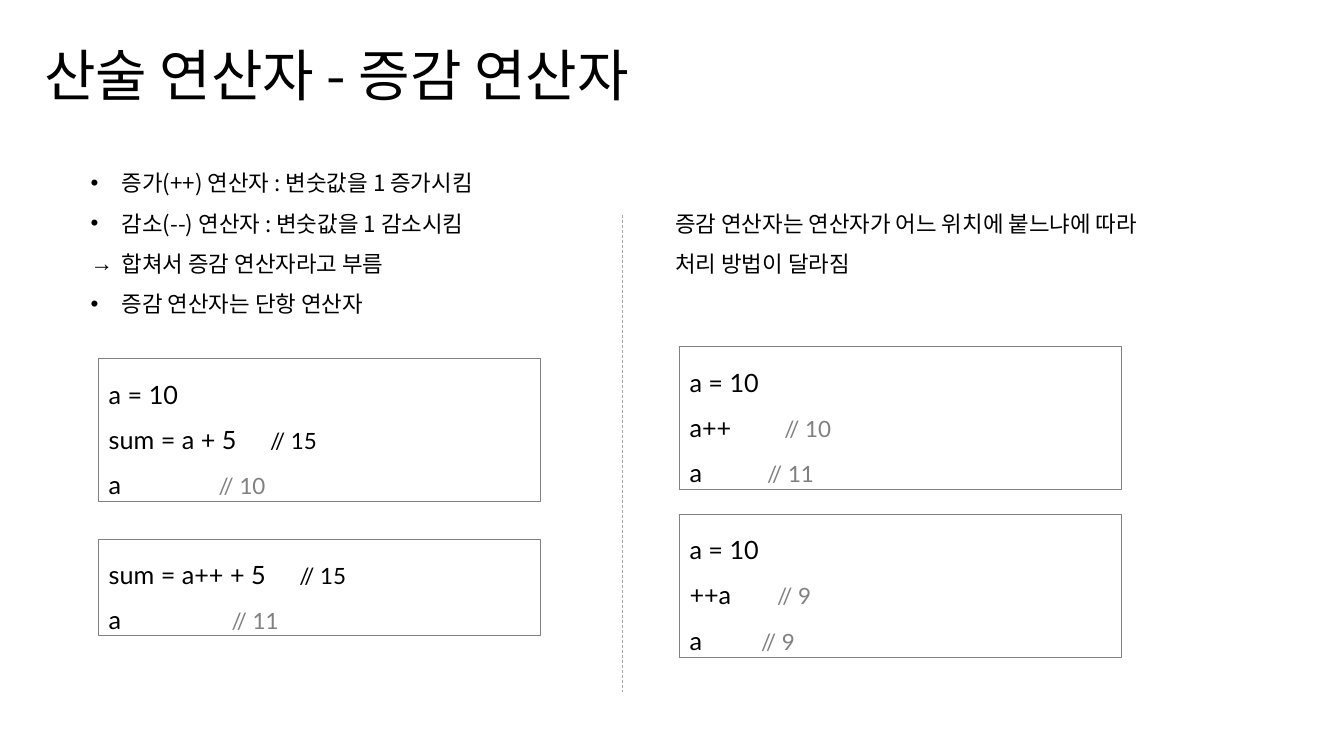
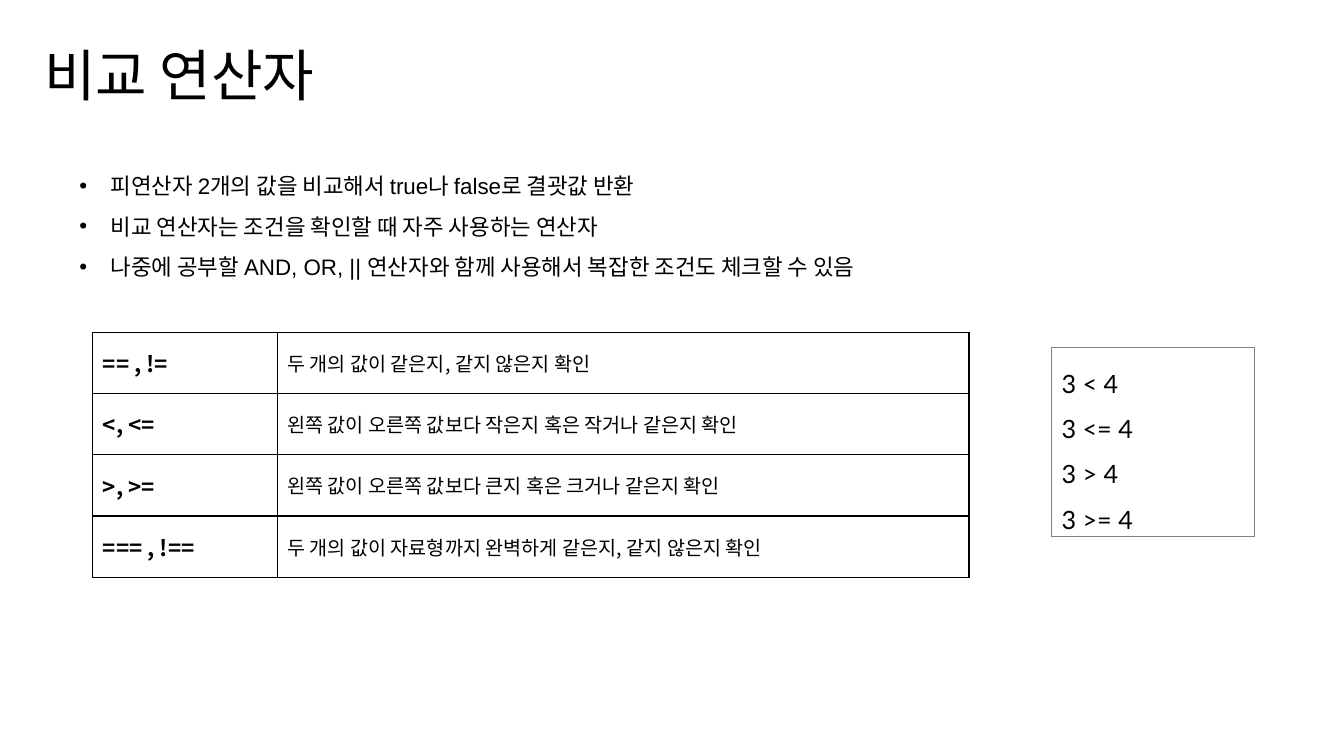
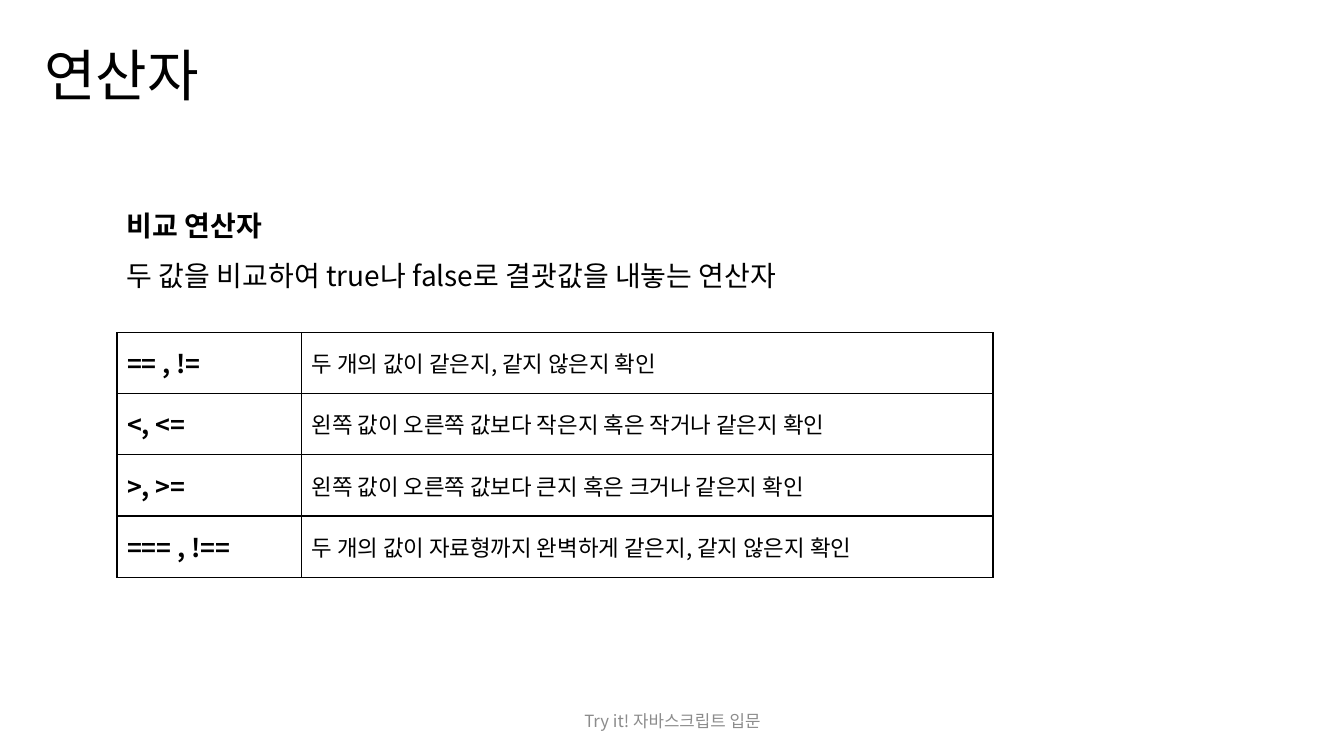
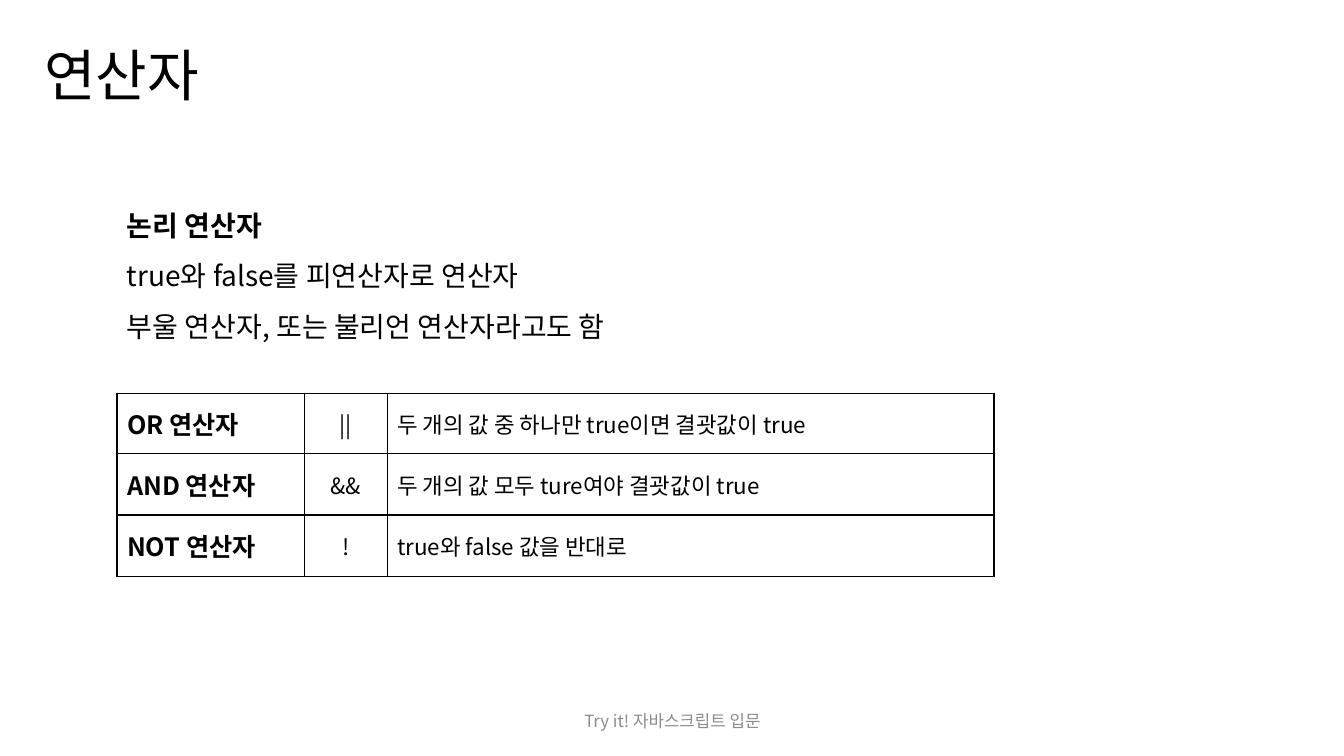
from dataclasses import dataclass

from lxml import etree
from pptx import Presentation, util as u
from pptx.dml.color import RGBColor
from pptx.enum import dml, shapes, text
from pptx.oxml import ns


@dataclass(frozen=True)
class Theme:
    ink: str = "000000"
    gray: str = "808080"
    rule: str = "A6A6A6"
    foot: str = "8C8C8C"
    sans: str = "Noto Sans CJK KR"
    code: str = "Lato"
    alt: str = "Arial"
    head: int = 40
    lead: int = 20
    big: int = 18
    body: int = 16
    cell: int = 14
    small: int = 12
    gap: float = 1.5


T = Theme()
FOOT = "Try it! 자바스크립트 입문"
COMPARE = [
    ("== , !=", "두 개의 값이 같은지, 같지 않은지 확인"),
    ("<, <=", "왼쪽 값이 오른쪽 값보다 작은지 혹은 작거나 같은지 확인"),
    (">, >=", "왼쪽 값이 오른쪽 값보다 큰지 혹은 크거나 같은지 확인"),
    ("=== , !==", "두 개의 값이 자료형까지 완벽하게 같은지, 같지 않은지 확인"),
]
LOGIC = [
    ("OR 연산자", "||", "두 개의 값 중 하나만 true이면 결괏값이 true"),
    ("AND 연산자", "&&", "두 개의 값 모두 ture여야 결괏값이 true"),
    ("NOT 연산자", "!", "true와 false 값을 반대로"),
]


def rgb(tone):
    return RGBColor.from_string(tone)


def inches(box):
    return [u.Inches(v) for v in box]


def sub(node, tag, **attrs):
    return etree.SubElement(node, ns.qn(tag), attrs)


def add_run(para, words, size, font=T.sans, tone=T.ink, bold=False):
    run = para.add_run()
    run.text = words
    face = run.font
    face.size, face.bold, face.name = u.Pt(size), bold, font
    face.color.rgb = rgb(tone)
    sub(run._r.get_or_add_rPr(), "a:ea", typeface=T.sans)


def add_paras(frame, count):
    """Yield the given number of widely spaced paragraphs."""
    for i in range(count):
        para = frame.add_paragraph() if i else frame.paragraphs[0]
        para.line_spacing = T.gap
        yield para


def add_mark(para, mark):
    """Hang a bullet sign in front of the paragraph."""
    props = para._p.get_or_add_pPr()
    hang = u.Inches(0.31)
    props.set("marL", str(hang))
    props.set("indent", str(-hang))
    sub(props, "a:buFont", typeface=T.alt)
    sub(props, "a:buChar", char=mark)


def add_stop(para, at):
    stops = sub(para._p.get_or_add_pPr(), "a:tabLst")
    sub(stops, "a:tab", pos=str(u.Inches(at)), algn="l")


def add_box(slide, box):
    frame = slide.shapes.add_textbox(*inches(box)).text_frame
    frame.word_wrap = True
    return frame


def add_notes(slide, box, lines, marks="", font=T.sans):
    """Body lines, each with its sign from marks if there is one."""
    frame = add_box(slide, box)
    for i, para in enumerate(add_paras(frame, len(lines))):
        if marks:
            add_mark(para, marks[i])
        add_run(para, lines[i], T.body, font)


def add_lead(slide, box, lines):
    """A bold heading line with plain lines below it."""
    frame = add_box(slide, box)
    for i, para in enumerate(add_paras(frame, len(lines))):
        add_run(para, lines[i], T.lead, bold=i == 0)


def add_code(slide, box, lines):
    """Framed code; a line is (code,) or (code, note, tab stop, colour)."""
    shape = slide.shapes.add_shape(shapes.MSO_SHAPE.RECTANGLE, *inches(box))
    shape.shadow.inherit = False
    shape.fill.background()
    shape.line.color.rgb = rgb(T.gray)
    shape.line.width = u.Pt(0.75)
    frame = shape.text_frame
    frame.word_wrap = True
    frame.auto_size = text.MSO_AUTO_SIZE.SHAPE_TO_FIT_TEXT
    frame.vertical_anchor = text.MSO_ANCHOR.TOP
    for para, (code, *note) in zip(add_paras(frame, len(lines)), lines):
        para.alignment = text.PP_ALIGN.LEFT
        if note:
            words, stop, tone = note
            add_stop(para, stop)
            add_run(para, code + "\t", T.big, T.code)
            add_run(para, words, T.body, T.code, tone)
        else:
            add_run(para, code, T.big, T.code)


def add_rule(slide, x, top, end):
    line = slide.shapes.add_connector(
        shapes.MSO_CONNECTOR.STRAIGHT, *inches((x, top, x, end)))
    line.line.color.rgb = rgb(T.rule)
    line.line.width = u.Pt(0.5)
    line.line.dash_style = dml.MSO_LINE.DASH
    sub(line._element.spPr, "a:effectLst")


def edge_cell(cell):
    props = cell._tc.get_or_add_tcPr()
    for side in "LRTB":
        line = sub(props, f"a:ln{side}", w=str(u.Pt(1)))
        sub(sub(line, "a:solidFill"), "a:srgbClr", val=T.ink)
    cell.fill.background()


def add_grid(slide, left, top, cols, rows, size):
    """Ruled table: bold first column, centred middle, smaller text after."""
    highs = [0.6] + [0.61] * (len(rows) - 1)
    box = left, top, sum(cols), sum(highs)
    grid = slide.shapes.add_table(len(rows), len(cols), *inches(box)).table
    grid.first_row = grid.horz_banding = False
    for col, wide in zip(grid.columns, cols):
        col.width = u.Inches(wide)
    for r, (row, high) in enumerate(zip(rows, highs)):
        grid.rows[r].height = u.Inches(high)
        for c, words in enumerate(row):
            cell = grid.cell(r, c)
            edge_cell(cell)
            cell.vertical_anchor = text.MSO_ANCHOR.MIDDLE
            para = cell.text_frame.paragraphs[0]
            if 0 < c < len(row) - 1:
                para.alignment = text.PP_ALIGN.CENTER
            add_run(para, words, size if c == 0 else size - 2, bold=c == 0)


def add_foot(slide):
    frame = add_box(slide, (4.42, 6.95, 4.5, 0.4))
    frame.vertical_anchor = text.MSO_ANCHOR.MIDDLE
    para = frame.paragraphs[0]
    para.alignment = text.PP_ALIGN.CENTER
    add_run(para, FOOT, T.small, tone=T.foot)


def new_slide(deck, title):
    slide = deck.slides.add_slide(deck.slide_layouts.get_by_name("Title Only"))
    head = slide.shapes.title
    head.left, head.top, head.width, head.height = inches((0.34, 0.35, 8, 0.77))
    frame = head.text_frame
    frame.auto_size = text.MSO_AUTO_SIZE.NONE
    frame.vertical_anchor = text.MSO_ANCHOR.TOP
    para = frame.paragraphs[0]
    para.alignment = text.PP_ALIGN.LEFT
    add_run(para, title, T.head)
    return slide


def step_slide(deck):
    slide = new_slide(deck, "산술 연산자 - 증감 연산자")
    add_notes(slide, (0.8, 1.5, 5, 1.66), [
        "증가(++) 연산자 : 변숫값을 1 증가시킴",
        "감소(--) 연산자 : 변숫값을 1 감소시킴",
        "합쳐서 증감 연산자라고 부름",
        "증감 연산자는 단항 연산자",
    ], "••→•")
    add_notes(slide, (6.6, 1.9, 5.47, 0.86), [
        "증감 연산자는 연산자가 어느 위치에 붙느냐에 따라",
        "처리 방법이 달라짐",
    ])
    start = ("a = 10",)
    wide, left, right = 4.38, 0.98, 6.74
    add_code(slide, (left, 3.56, wide, 1.42), [
        start,
        ("sum = a + 5", "// 15", 1.6, T.ink),
        ("a", "// 10", 1.09, T.gray),
    ])
    add_code(slide, (left, 5.35, wide, 0.96), [
        ("sum = a++ + 5", "// 15", 1.89, T.ink),
        ("a", "// 11", 1.22, T.gray),
    ])
    add_code(slide, (right, 3.44, wide, 1.42), [
        start,
        ("a++", "// 10", 0.94, T.gray),
        ("a", "// 11", 0.77, T.gray),
    ])
    add_code(slide, (right, 5.1, wide, 1.42), [
        start,
        ("++a", "// 9", 0.87, T.gray),
        ("a", "// 9", 0.71, T.gray),
    ])
    add_rule(slide, 6.17, 2.13, 6.87)


def compare_slide(deck):
    slide = new_slide(deck, "비교 연산자")
    add_notes(slide, (0.69, 1.53, 10.44, 1.66), [
        "피연산자 2개의 값을 비교해서 true나 false로 결괏값 반환",
        "비교 연산자는 조건을 확인할 때 자주 사용하는 연산자",
        "나중에 공부할 AND, OR, || 연산자와 함께 사용해서 복잡한 조건도 체크할 수 있음",
    ], "•••", T.alt)
    add_grid(slide, 0.92, 3.3, (1.83, 6.86), COMPARE, T.body)
    add_code(slide, (10.43, 3.45, 2.01, 1.87),
             [(f"3 {sign} 4",) for sign in ("<", "<=", ">", ">=")])


def recap_slide(deck, lines, top, cols, rows):
    """Lead text, a table and the footer."""
    slide = new_slide(deck, "연산자")
    add_foot(slide)
    left = 1.16
    add_lead(slide, (left, 1.85, 9.56, top - 2.1), lines)
    add_grid(slide, left, top, cols, rows, T.big)


def main():
    deck = Presentation()
    deck.slide_width, deck.slide_height = inches((13.33, 7.5))
    step_slide(deck)
    compare_slide(deck)
    recap_slide(deck, [
        "비교 연산자",
        "두 값을 비교하여 true나 false로 결괏값을 내놓는 연산자",
    ], 3.3, (1.83, 6.86), COMPARE)
    recap_slide(deck, [
        "논리 연산자",
        "true와 false를 피연산자로 연산자",
        "부울 연산자, 또는 불리언 연산자라고도 함",
    ], 3.9, (1.86, 0.82, 6.02), LOGIC)
    deck.save("out.pptx")


if __name__ == "__main__":
    main()
